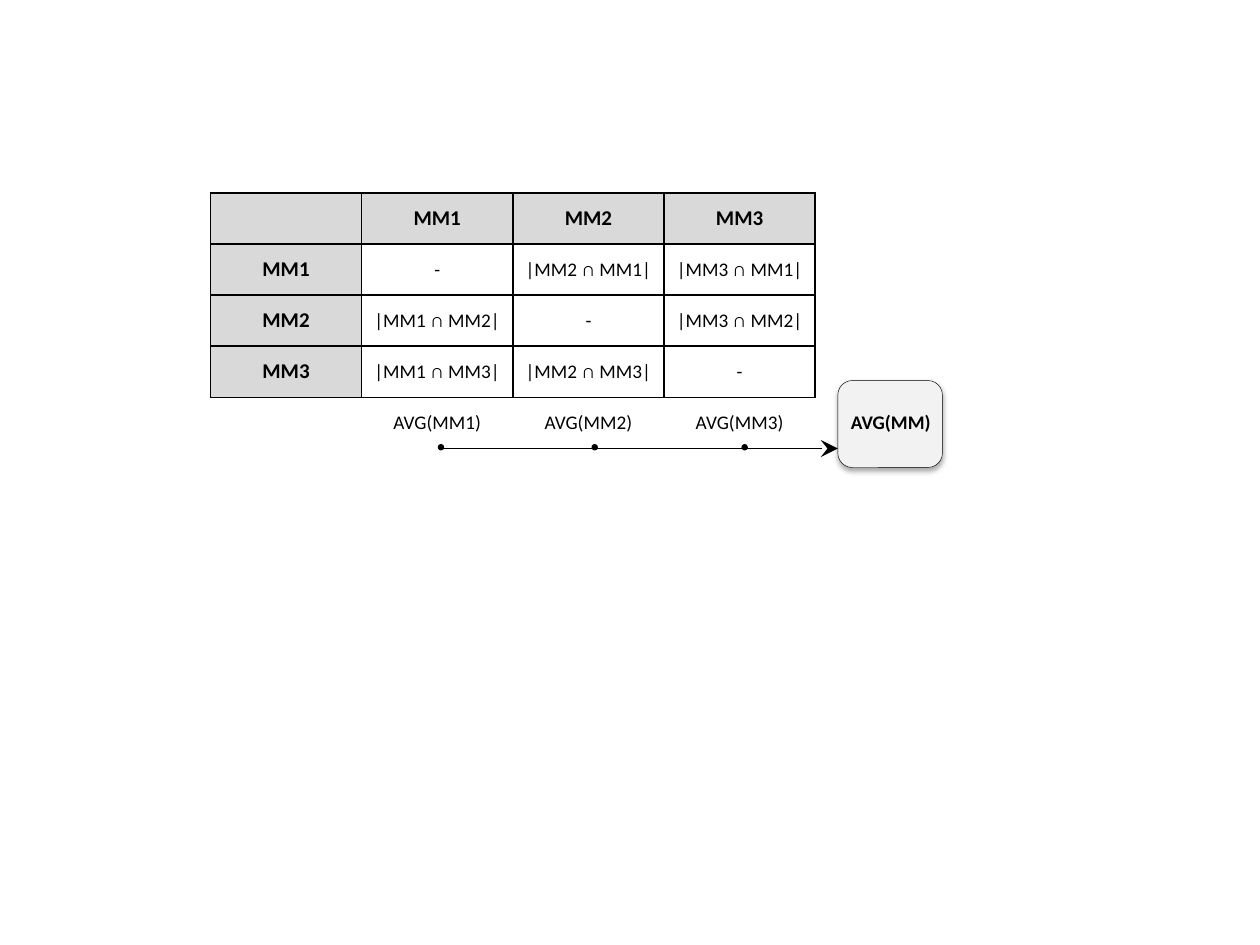
from lxml import etree
from pptx import Presentation
from pptx.dml.color import RGBColor
from pptx.enum.shapes import MSO_CONNECTOR, MSO_SHAPE
from pptx.enum.text import MSO_ANCHOR, PP_ALIGN
from pptx.oxml import parse_xml
from pptx.oxml.ns import nsdecls, qn
from pptx.util import Inches, Pt

BLACK, HEADER, WHITE, BOX = "000000", "D9D9D9", "FFFFFF", "F2F2F2"
MODELS = ["MM1", "MM2", "MM3"]
SIZE = len(MODELS) + 2
LEFT, TOP, COL_WIDTH, ROW_HEIGHT = 1.67, 1.53, 1.2, 0.406


def paint(fmt, color):
    """Set a fill, or the fill of a line, to a solid hex colour."""
    fmt.solid()
    fmt.fore_color.rgb = RGBColor.from_string(color)


def set_borders(cell, sides):
    """Draw the named cell sides in black and hide the others."""
    for index, side in enumerate("LRTB"):
        fill = (f'<a:solidFill><a:srgbClr val="{BLACK}"/></a:solidFill>'
                if side in sides else "<a:noFill/>")
        cell._tc.get_or_add_tcPr().insert(index, parse_xml(
            f'<a:ln{side} {nsdecls("a")} w="12700">{fill}</a:ln{side}>'))


prs = Presentation()
prs.slide_width, prs.slide_height = Inches(10), Inches(7.5)
slide = prs.slides.add_slide(prs.slide_layouts[6])
shapes = slide.shapes

# Box behind the overall average
average_box = shapes.add_shape(MSO_SHAPE.ROUNDED_RECTANGLE, Inches(6.65),
                               Inches(3.02), Inches(0.83), Inches(0.69))
paint(average_box.fill, BOX)
paint(average_box.line.fill, BLACK)
average_box.line.width = Pt(0.25)
average_box.shadow.inherit = False
average_box._element.spPr.find(qn("a:effectLst")).append(parse_xml(
    f'<a:outerShdw {nsdecls("a")} blurRad="40000" dist="23000" dir="5400000" '
    f'rotWithShape="0"><a:srgbClr val="{BLACK}"><a:alpha val="35000"/>'
    '</a:srgbClr></a:outerShdw>'))

# Overlap matrix, with averages in the last row
rows = [["", *MODELS, ""]]
for row_model in MODELS:
    overlaps = ["-" if model == row_model else f"|{model} ∩ {row_model}|"
                for model in MODELS]
    rows.append([row_model, *overlaps, ""])
rows.append(["", *(f"AVG({model})" for model in MODELS), "AVG(MM)"])

matrix = shapes.add_table(SIZE, SIZE, Inches(LEFT), Inches(TOP),
                          Inches(SIZE * COL_WIDTH),
                          Inches(SIZE * ROW_HEIGHT)).table
matrix.first_row = matrix.horz_banding = False
last = SIZE - 1
for r, texts in enumerate(rows):
    for c, text in enumerate(texts):
        cell = matrix.cell(r, c)
        cell.text = text
        cell.vertical_anchor = MSO_ANCHOR.MIDDLE
        cell.margin_left = cell.margin_right = Inches(0.05)
        in_grid = r < last and c < last
        is_header = in_grid and 0 in (r, c)
        paragraph = cell.text_frame.paragraphs[0]
        paragraph.alignment = PP_ALIGN.CENTER
        font = paragraph.font
        font.name = "Calibri"
        font.size = Pt(12 if is_header else 11)
        font.bold = is_header or r == c == last
        paint(font.fill, BLACK)
        if in_grid:
            set_borders(cell, "LRTB")
            paint(cell.fill, HEADER if is_header else WHITE)
        else:
            set_borders(cell, "T" if c < last else "L" if r < last else "")
            cell.fill.background()

# Arrow that gathers the column averages
ARROW_Y = 3.56
arrow = shapes.add_connector(MSO_CONNECTOR.STRAIGHT, Inches(3.49),
                             Inches(ARROW_Y), Inches(6.65), Inches(ARROW_Y))
paint(arrow.line.fill, BLACK)
arrow.line.width = Pt(0.25)
etree.SubElement(arrow.line._get_or_add_ln(), qn("a:tailEnd"),
                 type="stealth", w="lg", len="lg")
etree.SubElement(arrow._element.spPr, qn("a:effectLst"))

DOT = 0.04
for dot_left in (3.48, 4.7, 5.89):
    dot = shapes.add_shape(MSO_SHAPE.OVAL, Inches(dot_left), Inches(3.53),
                           Inches(DOT), Inches(DOT))
    paint(dot.fill, BLACK)
    paint(dot.line.fill, BLACK)
    dot.line.width = Pt(0.75)
    dot.shadow.inherit = False

prs.save("out.pptx")
